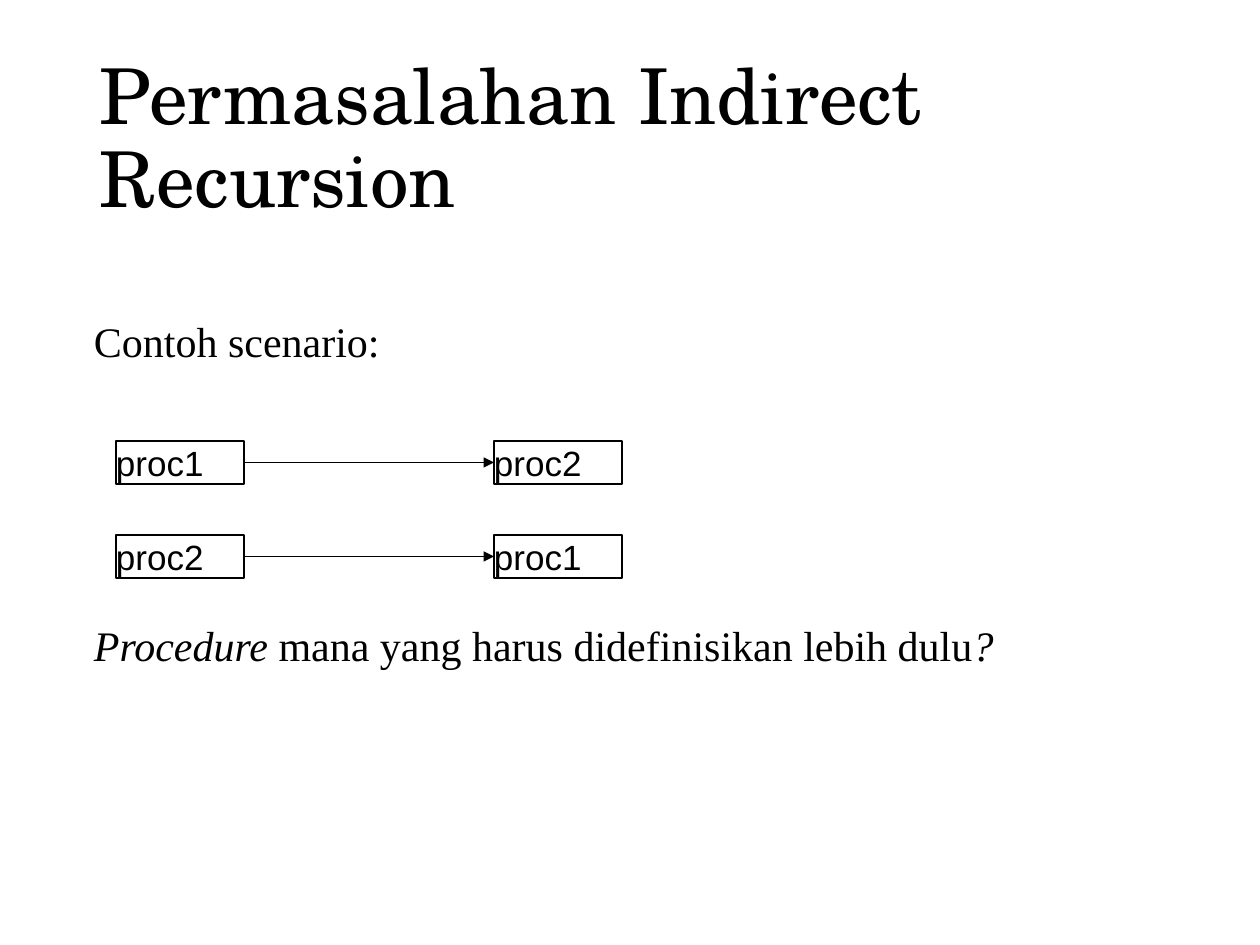
"""Build the slide on the problem of indirect recursion."""
from dataclasses import dataclass

import lxml.etree
import pptx
import pptx.dml.color
import pptx.enum.shapes
import pptx.enum.text
import pptx.oxml.ns
import pptx.shapes.autoshape
import pptx.shapes.group
import pptx.slide
import pptx.text.text
import pptx.util

BLACK = pptx.dml.color.RGBColor(0, 0, 0)
WHITE = pptx.dml.color.RGBColor(255, 255, 255)
EMU_PER_PX = 914400 / 126
CALLER_LEFT, CALLED_LEFT = 116, 494
BOX_WIDTH, BOX_HEIGHT = 128, 43
TITLE_FONT, BODY_FONT, BOX_FONT = "TeX Gyre Schola", "Times New Roman", "Arial"


@dataclass(frozen=True)
class Call:
    caller: str
    called: str
    top: int


CALLS = (Call("proc1", "proc2", 441), Call("proc2", "proc1", 535))


def px(length: int) -> pptx.util.Emu:
    return pptx.util.Emu(round(length * EMU_PER_PX))


def set_font(paragraph: pptx.text.text._Paragraph, name: str, size: int) -> None:
    paragraph.alignment = pptx.enum.text.PP_ALIGN.LEFT
    paragraph.font.name = name
    paragraph.font.size = pptx.util.Pt(size)
    paragraph.font.color.rgb = BLACK


def clear_margins(frame: pptx.text.text.TextFrame) -> None:
    frame.margin_left = frame.margin_right = 0
    frame.margin_top = frame.margin_bottom = 0


def add_title(slide: pptx.slide.Slide, text: str) -> None:
    title = slide.shapes.title
    title.left, title.top = px(87), px(50)
    title.width, title.height = px(1086), px(183)
    frame = title.text_frame
    frame.text = text
    frame.auto_size = pptx.enum.text.MSO_AUTO_SIZE.NONE
    frame.vertical_anchor = pptx.enum.text.MSO_ANCHOR.MIDDLE
    paragraph = frame.paragraphs[0]
    set_font(paragraph, TITLE_FONT, 44)
    paragraph.line_spacing = 0.9


def add_body(slide: pptx.slide.Slide) -> None:
    frame = slide.shapes.add_textbox(px(94), px(315), px(1081), px(462)).text_frame
    frame.word_wrap = True
    clear_margins(frame)
    scenario = frame.paragraphs[0]
    scenario.text = "Contoh scenario:"
    scenario.space_before = pptx.util.Pt(4.8)
    question = frame.add_paragraph()
    question.space_before = pptx.util.Pt(145)
    for text, italic in (
        ("Procedure ", True),
        ("mana yang harus didefinisikan lebih dulu", False),
        ("?", True),
    ):
        run = question.add_run()
        run.text = text
        run.font.italic = italic
    for paragraph in frame.paragraphs:
        set_font(paragraph, BODY_FONT, 24)


def add_box(
    group: pptx.shapes.group.GroupShape, name: str, left: int, top: int
) -> pptx.shapes.autoshape.Shape:
    box = group.shapes.add_shape(
        pptx.enum.shapes.MSO_SHAPE.RECTANGLE,
        px(left), px(top), px(BOX_WIDTH), px(BOX_HEIGHT),
    )
    box.shadow.inherit = False
    box.fill.background()
    box.line.color.rgb = BLACK
    box.line.width = pptx.util.Pt(0.75)
    frame = box.text_frame
    clear_margins(frame)
    frame.vertical_anchor = pptx.enum.text.MSO_ANCHOR.MIDDLE
    frame.text = name
    set_font(frame.paragraphs[0], BOX_FONT, 20)
    return box


def add_arrow(
    group: pptx.shapes.group.GroupShape,
    source: pptx.shapes.autoshape.Shape,
    target: pptx.shapes.autoshape.Shape,
) -> None:
    middle = source.top + source.height // 2
    arrow = group.shapes.add_connector(
        pptx.enum.shapes.MSO_CONNECTOR.STRAIGHT,
        source.left + source.width, middle, target.left, middle,
    )
    arrow.begin_connect(source, 3)
    arrow.end_connect(target, 1)
    arrow.line.color.rgb = BLACK
    arrow.line.width = pptx.util.Pt(0.75)
    qn = pptx.oxml.ns.qn
    properties = arrow._element.spPr
    lxml.etree.SubElement(properties.find(qn("a:ln")), qn("a:tailEnd"), type="triangle")
    lxml.etree.SubElement(properties, qn("a:effectLst"))


def add_call(slide: pptx.slide.Slide, call: Call) -> None:
    group = slide.shapes.add_group_shape()
    caller = add_box(group, call.caller, CALLER_LEFT, call.top)
    called = add_box(group, call.called, CALLED_LEFT, call.top)
    add_arrow(group, caller, called)


def main() -> None:
    presentation = pptx.Presentation()
    presentation.slide_width, presentation.slide_height = px(1260), px(945)
    slide = presentation.slides.add_slide(presentation.slide_layouts[5])
    slide.background.fill.solid()
    slide.background.fill.fore_color.rgb = WHITE
    add_title(slide, "Permasalahan Indirect Recursion")
    add_body(slide)
    for call in CALLS:
        add_call(slide, call)
    presentation.save("out.pptx")


if __name__ == "__main__":
    main()
